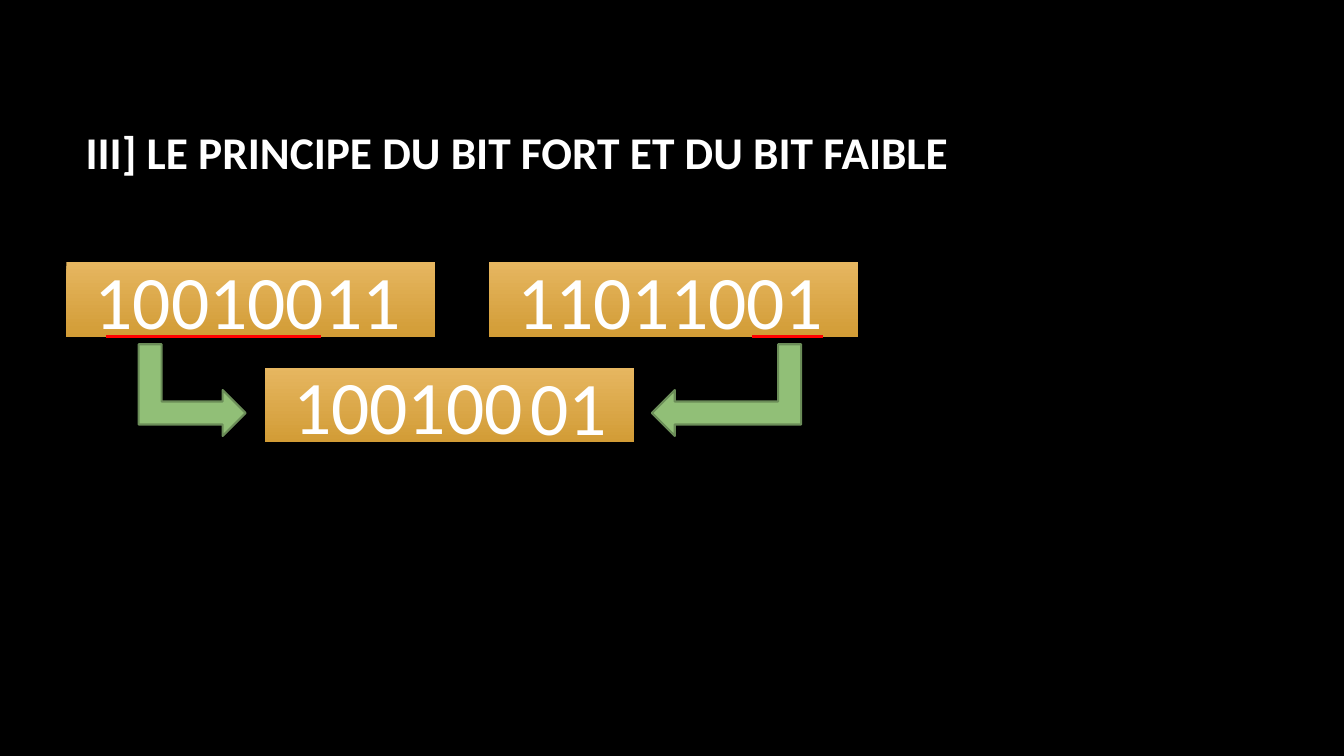
import pptx
import pptx.dml.color
import pptx.enum.shapes
import pptx.enum.text
import pptx.oxml.ns
import pptx.util
from lxml import etree

Inches = pptx.util.Inches
Pt = pptx.util.Pt
Shapes = pptx.enum.shapes.MSO_SHAPE


def color(hex_string):
    return pptx.dml.color.RGBColor.from_string(hex_string)


def write_text(shape, text, size=54, bold=False, font="Calibri", fill="FFFFFF", margin_top=0.05):
    frame = shape.text_frame
    frame.word_wrap = True
    frame.vertical_anchor = pptx.enum.text.MSO_ANCHOR.TOP
    frame.margin_top = Inches(margin_top)
    run = frame.paragraphs[0].add_run()
    run.text = text
    run.font.name = font
    run.font.size = Pt(size)
    run.font.bold = bold
    run.font.color.rgb = color(fill)


class BitSlide:
    background = "000000"
    gold = ("E6B660", "D29C36")
    green, green_edge = "91BF77", "6B8D58"
    red = "FF0000"

    def __init__(self, presentation):
        self.slide = presentation.slides.add_slide(presentation.slide_layouts[6])
        fill = self.slide.background.fill
        fill.solid()
        fill.fore_color.rgb = color(self.background)

    def text(self, text, left, top, width=3.57, height=1.01, **style):
        box = self.slide.shapes.add_textbox(
            Inches(left), Inches(top), Inches(width), Inches(height))
        write_text(box, text, **style)

    def byte_box(self, left, top):
        box = self.slide.shapes.add_shape(
            Shapes.RECTANGLE, Inches(left), Inches(top), Inches(3.66), Inches(0.74))
        box.shadow.inherit = False
        box.line.fill.background()
        box.fill.gradient()
        box.fill.gradient_angle = 270
        for stop, shade in zip(box.fill.gradient_stops, self.gold):
            stop.color.rgb = color(shade)

    def underline(self, start, end, top):
        line = self.slide.shapes.add_connector(
            pptx.enum.shapes.MSO_CONNECTOR.STRAIGHT,
            Inches(start), Inches(top), Inches(end), Inches(top))
        line.line.color.rgb = color(self.red)
        line.line.width = Pt(2)
        etree.SubElement(line._element.spPr, pptx.oxml.ns.qn("a:effectLst"))

    def bent_arrow(self, left, top, height, rotation, flipped=False):
        arrow = self.slide.shapes.add_shape(
            Shapes.BENT_UP_ARROW, Inches(left), Inches(top), Inches(0.91), Inches(height))
        arrow.shadow.inherit = False
        arrow.rotation = rotation
        if flipped:
            arrow._element.spPr.xfrm.set("flipH", "1")
        arrow.fill.solid()
        arrow.fill.fore_color.rgb = color(self.green)
        arrow.line.color.rgb = color(self.green_edge)
        arrow.line.width = Pt(1.5)


def main():
    presentation = pptx.Presentation()
    presentation.slide_width = Inches(13.33)
    presentation.slide_height = Inches(7.5)
    page = BitSlide(presentation)

    # Title
    page.text("III] LE PRINCIPE DU BIT FORT ET DU BIT FAIBLE",
              0.75, 1.23, 11.08, 1.59, size=32.4, bold=True, margin_top=0)

    # Source bytes, with the bits to keep underlined
    for left, bits, start, end in ((0.66, "10010011", 1.05, 3.18),
                                   (4.85, "11011001", 7.46, 8.16)):
        page.byte_box(left, 2.6)
        page.text(bits, left + 0.18, 2.47)
        page.underline(start, end, 3.34)

    # Combined byte: strong bits, then weak bits
    page.byte_box(2.63, 3.65)
    page.text("100100", 2.81, 3.51)
    page.text("01", 5.16, 3.52)

    # Arrows into the combined byte
    page.bent_arrow(6.75, 3.13, 1.48, 270, flipped=True)
    page.bent_arrow(1.45, 3.34, 1.06, 90)

    presentation.save("out.pptx")


if __name__ == "__main__":
    main()
